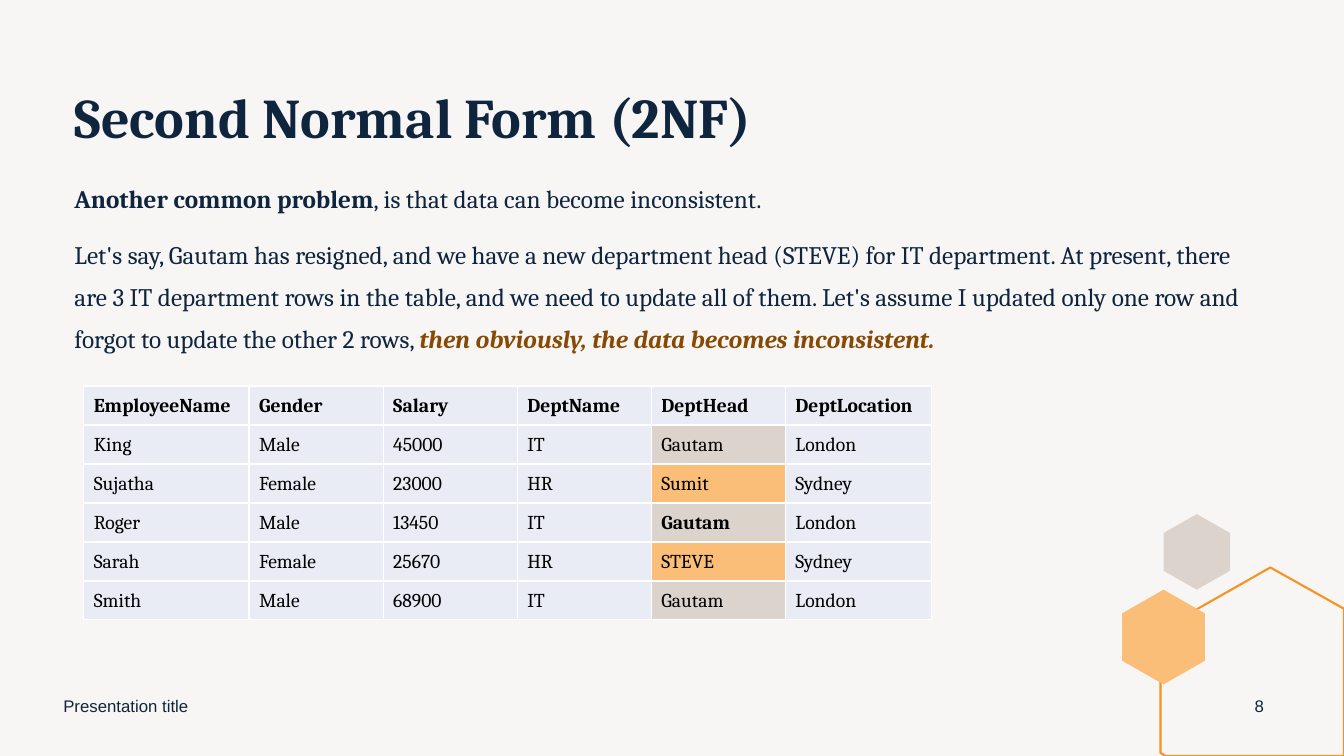
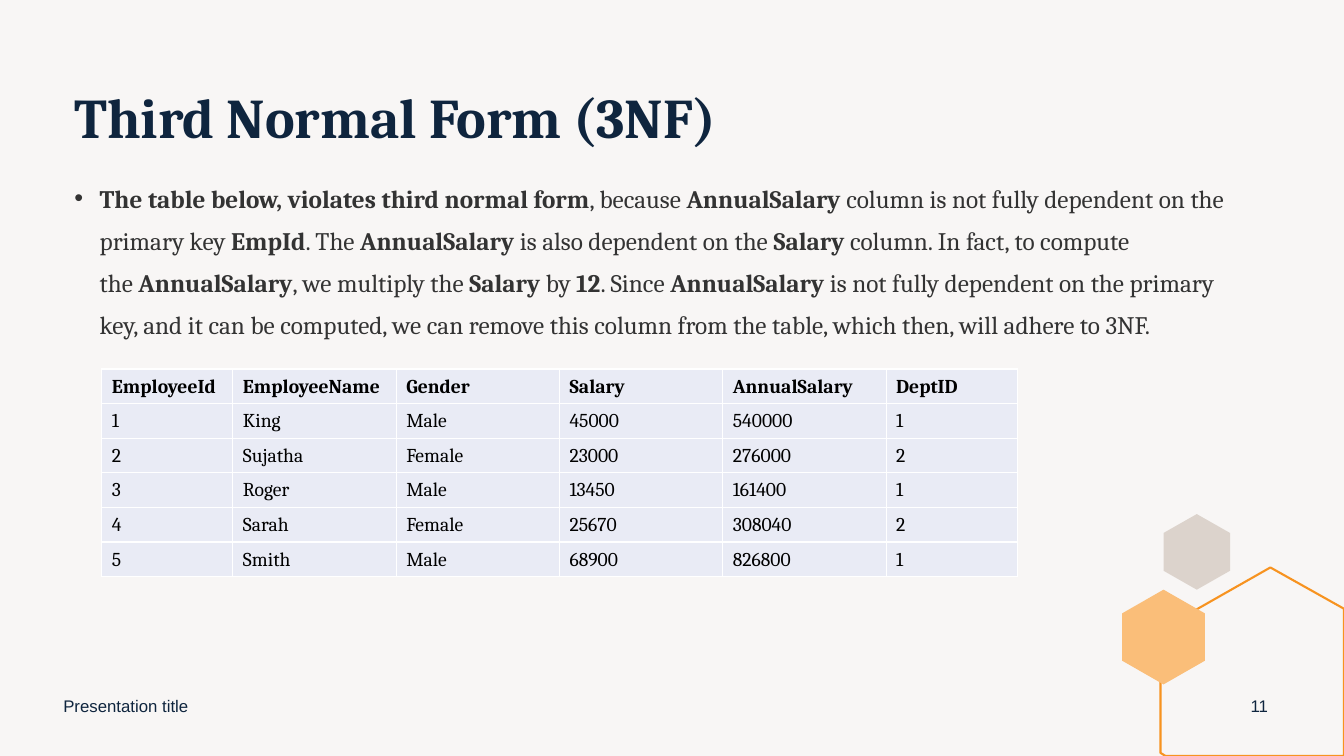
from collections import namedtuple
from dataclasses import dataclass

from lxml.etree import SubElement
from pptx import Presentation
from pptx.dml.color import RGBColor
from pptx.enum.text import MSO_ANCHOR, PP_ALIGN
from pptx.oxml.ns import qn
from pptx.util import Inches, Pt

Box = namedtuple("Box", "left top width height")


@dataclass(frozen=True)
class Theme:
    background: str = "F8F6F5"
    navy: str = "0F253E"
    charcoal: str = "333333"
    black: str = "000000"
    white: str = "FFFFFF"
    brown: str = "874A05"
    orange: str = "F79320"
    apricot: str = "FABE79"
    stone: str = "DCD3CC"
    cell: str = "E9EBF5"
    serif: str = "Cambria"
    sans: str = "Arial"
    title_size: int = 40
    body_size: int = 18
    table_size: int = 14
    footer_size: int = 12


THEME = Theme()
SLIDE = Box(0, 0, 13.33, 7.5)
TITLE = Box(0.64, 0.79, 11.91, 0.75)
BODY = Box(0.64, 1.65, 11.91, 5.06)
FOOTER = Box(0.53, 6.8, 12.21, 0.4)
ORNAMENT = Box(11.13, 5.1, 2.2, 2.4)

TITLE_FONT = {"name": THEME.serif, "size": THEME.title_size, "color": THEME.navy, "bold": True}
BODY_FONT = {"name": THEME.serif, "size": THEME.body_size, "color": THEME.navy}
TABLE_FONT = {"name": THEME.serif, "size": THEME.table_size, "color": THEME.black}
FOOTER_FONT = {"name": THEME.sans, "size": THEME.footer_size, "color": THEME.navy}
STRONG = {"bold": True}
PLAIN = {"bold": False}
WARNING = {"bold": True, "italic": True, "color": THEME.brown}
BODY_PARAGRAPH = {"line_spacing": Pt(30), "space_before": Pt(10)}

NO_BREAK_SPACE = chr(160)  # written as ~ in the slide texts


def set_attributes(target, values):
    for name, value in values.items():
        setattr(target, name, value)


def in_inches(box):
    return [Inches(length) for length in box]


def add_run(paragraph, text, font_values):
    run = paragraph.add_run()
    run.text = text.replace("~", NO_BREAK_SPACE)
    values = dict(font_values)
    run.font.color.rgb = RGBColor.from_string(values.pop("color"))
    values["size"] = Pt(values["size"])
    set_attributes(run.font, values)


def add_text(slide, box, paragraphs, font_values, paragraph_values, anchor):
    """Each paragraph is a list of (text, changes to the font)."""
    frame = slide.shapes.add_textbox(*in_inches(box)).text_frame
    set_attributes(frame, {"word_wrap": True, "vertical_anchor": anchor})
    for index, runs in enumerate(paragraphs):
        paragraph = frame.add_paragraph() if index else frame.paragraphs[0]
        set_attributes(paragraph, paragraph_values)
        for text, changes in runs:
            add_run(paragraph, text, {**font_values, **changes})
    return frame


def add_bullet(paragraph):
    properties = paragraph._p.get_or_add_pPr()
    properties.set("marL", str(Inches(0.25)))
    properties.set("indent", str(-Inches(0.25)))
    SubElement(properties, qn("a:buFont"), typeface=THEME.sans)
    SubElement(properties, qn("a:buChar"), char="•")


# Hexagons in the bottom right corner
def add_outline(slide, box, points, fill=None, line=None):
    corners = [(Inches(box.left + x), Inches(box.top + y)) for x, y in points]
    builder = slide.shapes.build_freeform(*corners[0])
    builder.add_line_segments(corners[1:], close=True)
    shape = builder.convert_to_shape()
    shape.shadow.inherit = False
    if fill:
        shape.fill.solid()
        shape.fill.fore_color.rgb = RGBColor.from_string(fill)
    else:
        shape.fill.background()
    if line:
        shape.line.color.rgb = RGBColor.from_string(line)
        shape.line.width = Pt(1.5)
    else:
        shape.line.fill.background()


def add_hexagon(slide, box, fill):
    corners = [(0.5, 0), (1, 0.25), (1, 0.75), (0.5, 1), (0, 0.75), (0, 0.25)]
    points = [(x * box.width, y * box.height) for x, y in corners]
    add_outline(slide, box, points, fill=fill)


def add_ornament(slide, box):
    add_hexagon(slide, Box(box.left + 0.41, box.top, 0.66, 0.75), THEME.stone)
    cropped = Box(box.left + 0.38, box.top + 0.53, 1.82, 1.87)
    points = [(1.09, 0), (cropped.width, 0.41), (cropped.width, cropped.height),
              (0.05, cropped.height), (0, 1.84), (0, 0.62)]
    add_outline(slide, cropped, points, line=THEME.orange)
    add_hexagon(slide, Box(box.left, box.top + 0.75, 0.82, 0.94), THEME.apricot)


# Footer text and slide number
def add_footer(slide, box, number):
    number_width = 0.5
    label = box._replace(width=4.5)
    corner = box._replace(left=box.left + box.width - number_width, width=number_width)
    for part, text, alignment in ((label, "Presentation title", PP_ALIGN.LEFT),
                                  (corner, str(number), PP_ALIGN.CENTER)):
        add_text(slide, part, [[(text, {})]], FOOTER_FONT,
                 {"alignment": alignment}, MSO_ANCHOR.MIDDLE)


# Employee table
def add_cell_borders(cell):
    properties = cell._tc.get_or_add_tcPr()
    for index, side in enumerate(("a:lnL", "a:lnR", "a:lnT", "a:lnB")):
        line = properties.makeelement(qn(side), {"w": str(Pt(1))})
        fill = SubElement(line, qn("a:solidFill"))
        SubElement(fill, qn("a:srgbClr"), val=THEME.white)
        properties.insert(index, line)


def add_data_table(slide, box, widths, rows, fills, bold_cells):
    """fills and bold_cells are keyed by (row, column)."""
    graphic = slide.shapes.add_table(len(rows), len(widths), *in_inches(box))
    table = graphic.table
    set_attributes(table, {"first_row": False, "horz_banding": False})
    for column, width in zip(table.columns, widths):
        column.width = Inches(width)
    for row_index, values in enumerate(rows):
        table.rows[row_index].height = Inches(box.height / len(rows))
        for column_index, text in enumerate(values):
            place = (row_index, column_index)
            cell = table.cell(*place)
            set_attributes(cell, {
                "vertical_anchor": MSO_ANCHOR.MIDDLE,
                "margin_left": Inches(0.1), "margin_top": Inches(0.01),
                "margin_right": Inches(0.01), "margin_bottom": 0,
            })
            cell.fill.solid()
            cell.fill.fore_color.rgb = RGBColor.from_string(fills.get(place, THEME.cell))
            add_cell_borders(cell)
            bold = row_index == 0 or place in bold_cells
            add_run(cell.text_frame.paragraphs[0], text, {**TABLE_FONT, "bold": bold})


# Frame shared by all slides
def add_base_slide(presentation, title, number):
    slide = presentation.slides.add_slide(presentation.slide_layouts[6])
    add_ornament(slide, ORNAMENT)
    add_text(slide, TITLE, [[(title, {})]], TITLE_FONT,
             {"line_spacing": 0.9}, MSO_ANCHOR.BOTTOM)
    add_footer(slide, FOOTER, number)
    return slide


def add_second_form_slide(presentation):
    slide = add_base_slide(presentation, "Second Normal Form (2NF)", 8)
    paragraphs = [
        [("Another common problem", STRONG),
         (", is that data can become inconsistent.~", PLAIN)],
        [("Let's say, Gautam has resigned, and we have a new department head (STEVE) "
          "for IT department. At present, there are 3 IT department rows in the table, "
          "and we need to update all of them. Let's assume I updated only one row and "
          "forgot to update the other 2 rows, ", PLAIN),
         ("then obviously, the data becomes inconsistent.", WARNING)],
    ]
    add_text(slide, BODY, paragraphs, BODY_FONT, BODY_PARAGRAPH, MSO_ANCHOR.TOP)
    rows = [
        ("EmployeeName", "Gender", "Salary", "DeptName", "DeptHead", "DeptLocation"),
        ("King", "Male", "45000", "IT", "Gautam", "London"),
        ("Sujatha", "Female", "23000", "HR", "Sumit", "Sydney"),
        ("Roger", "Male", "13450", "IT", "Gautam", "London"),
        ("Sarah", "Female", "25670", "HR", "STEVE", "Sydney"),
        ("Smith", "Male", "68900", "IT", "Gautam", "London"),
    ]
    head_column = rows[0].index("DeptHead")
    head_fills = {"IT": THEME.stone, "HR": THEME.apricot}
    fills = {(index, head_column): head_fills[row[head_column - 1]]
             for index, row in enumerate(rows) if index}
    widths = [1.64] + [1.33] * 4 + [1.45]
    add_data_table(slide, Box(0.83, 3.83, sum(widths), 2.32), widths, rows,
                   fills, {(3, head_column)})


def add_third_form_slide(presentation):
    slide = add_base_slide(presentation, "Third Normal Form (3NF)", 11)
    runs = [
        ("The table below, violates third normal form", STRONG), (", because~", PLAIN),
        ("AnnualSalary", STRONG),
        ("~column is not fully dependent on the primary key~", PLAIN),
        ("EmpId", STRONG), (". The~", PLAIN),
        ("AnnualSalary", STRONG), ("~is also~dependent on the~", PLAIN),
        ("Salary", STRONG), ("~column. In fact, to compute the~", PLAIN),
        ("AnnualSalary", STRONG), (", we multiply the~", PLAIN),
        ("Salary", STRONG), ("~by~", PLAIN), ("12", STRONG), (". Since~", PLAIN),
        ("AnnualSalary", STRONG),
        ("~is not fully dependent on the~primary key, and it can be computed, we can "
         "remove this column from the table, which then, will adhere to 3NF.", PLAIN),
    ]
    frame = add_text(slide, BODY, [runs], {**BODY_FONT, "color": THEME.charcoal},
                     BODY_PARAGRAPH, MSO_ANCHOR.TOP)
    add_bullet(frame.paragraphs[0])
    rows = [
        ("EmployeeId", "EmployeeName", "Gender", "Salary", "AnnualSalary", "DeptID"),
        ("1", "King", "Male", "45000", "540000", "1"),
        ("2", "Sujatha", "Female", "23000", "276000", "2"),
        ("3", "Roger", "Male", "13450", "161400", "1"),
        ("4", "Sarah", "Female", "25670", "308040", "2"),
        ("5", "Smith", "Male", "68900", "826800", "1"),
    ]
    widths = [1.3] + [1.62] * 4 + [1.3]
    add_data_table(slide, Box(1.01, 3.66, sum(widths), 2.06), widths, rows, {}, set())


def main():
    presentation = Presentation()
    presentation.slide_width = Inches(SLIDE.width)
    presentation.slide_height = Inches(SLIDE.height)
    background = presentation.slide_master.background.fill
    background.solid()
    background.fore_color.rgb = RGBColor.from_string(THEME.background)
    add_second_form_slide(presentation)
    add_third_form_slide(presentation)
    presentation.save("out.pptx")


if __name__ == "__main__":
    main()
